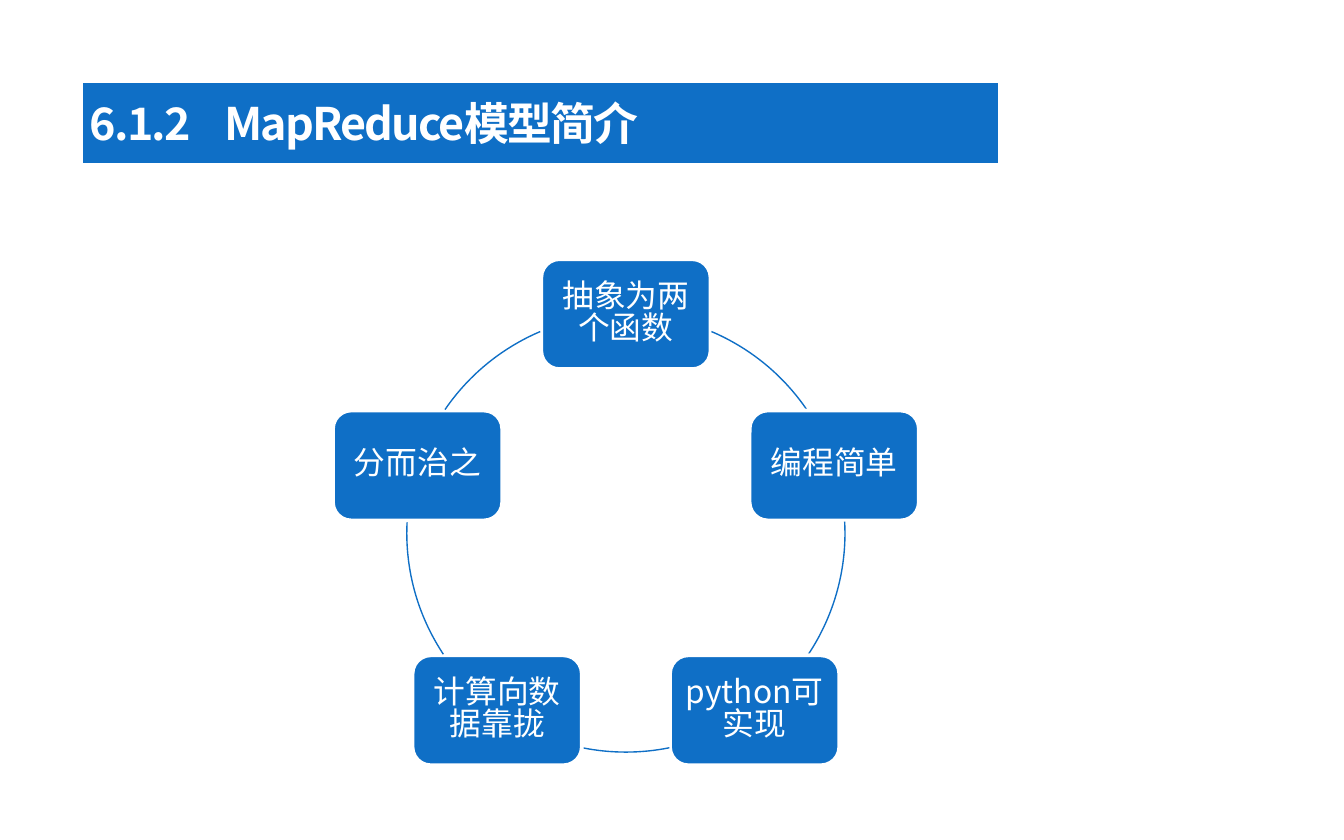
from math import cos, radians, sin

from lxml.etree import SubElement
from pptx import Presentation
from pptx.dml.color import RGBColor as RGB
from pptx.enum.shapes import MSO_SHAPE as SHAPE
from pptx.enum.text import MSO_ANCHOR as ANCHOR, PP_ALIGN as ALIGN
from pptx.oxml.ns import qn
from pptx.util import Cm, Pt

COLORS = {"blue": "0F6FC6", "white": "FFFFFF"}
FONT = "Noto Sans CJK SC"
CENTER_X, CENTER_Y, RADIUS = 11.83, 10.08, 4.14
NODE_W, NODE_H = 3.2, 2.08
NODES = ["抽象为两个函数", "编程简单", "python可实现", "计算向数据靠拢", "分而治之"]
ARCS = [(293, 325.65), (357, 33.58), (78.55, 101.45), (146.42, 183), (214.35, 247)]


def color(name):
    return RGB.from_string(COLORS[name])


def write(tf, text, size=17, bold=False, align=ALIGN.LEFT, inset=(0.2, 0.1),
          line_spacing=None, tracking=None):
    tf.word_wrap = True
    tf.vertical_anchor = ANCHOR.MIDDLE
    tf.margin_left = tf.margin_right = Cm(inset[0])
    tf.margin_top = tf.margin_bottom = Cm(inset[1])
    p = tf.paragraphs[0]
    p.alignment = align
    p.line_spacing = line_spacing
    r = p.add_run()
    r.text = text
    r.font.name = FONT
    r.font.size = Pt(size)
    r.font.bold = bold
    r.font.color.rgb = color("white")
    props = r._r.get_or_add_rPr()
    SubElement(props, qn("a:ea")).set("typeface", FONT)
    if tracking is not None:
        props.set("spc", str(int(tracking * 100)))


class Deck:
    def __init__(self, s):
        self.s = s

    def shape(self, kind, x, y, w, h, fill, line, width):
        sp = self.s.shapes.add_shape(kind, Cm(x), Cm(y), Cm(w), Cm(h))
        sp.shadow.inherit = False
        if fill:
            sp.fill.solid()
            sp.fill.fore_color.rgb = color(fill)
        else:
            sp.fill.background()
        sp.line.color.rgb = color(line)
        sp.line.width = Pt(width)
        return sp

    def title(self, text):
        sp = self.shape(SHAPE.RECTANGLE, 1.5, 1.5, 17.42, 1.65, "blue", "white", 3.5)
        write(sp.text_frame, text, size=24, bold=True, tracking=-1)

    def node(self, text, angle):
        x = CENTER_X + RADIUS * cos(radians(angle)) - NODE_W / 2
        y = CENTER_Y + RADIUS * sin(radians(angle)) - NODE_H / 2
        sp = self.shape(SHAPE.ROUNDED_RECTANGLE, x, y, NODE_W, NODE_H, "blue", "white", 2.08)
        write(sp.text_frame, text, align=ALIGN.CENTER, inset=(0.18, 0.18), line_spacing=0.83)

    def arc(self, start, end):
        sp = self.shape(SHAPE.ARC, CENTER_X - RADIUS, CENTER_Y - RADIUS,
                        2 * RADIUS, 2 * RADIUS, None, "blue", 0.75)
        for i, degrees in enumerate((start, end)):
            sp.adjustments[i] = degrees * 0.6


def main():
    prs = Presentation()
    prs.slide_width, prs.slide_height = Cm(25.4), Cm(15.88)
    deck = Deck(prs.slides.add_slide(prs.slide_layouts[6]))
    deck.title("6.1.2\tMapReduce模型简介")
    for i, (text, (start, end)) in enumerate(zip(NODES, ARCS)):
        deck.node(text, -90 + i * 360 / len(NODES))
        deck.arc(start, end)
    prs.save("out.pptx")


if __name__ == "__main__":
    main()
